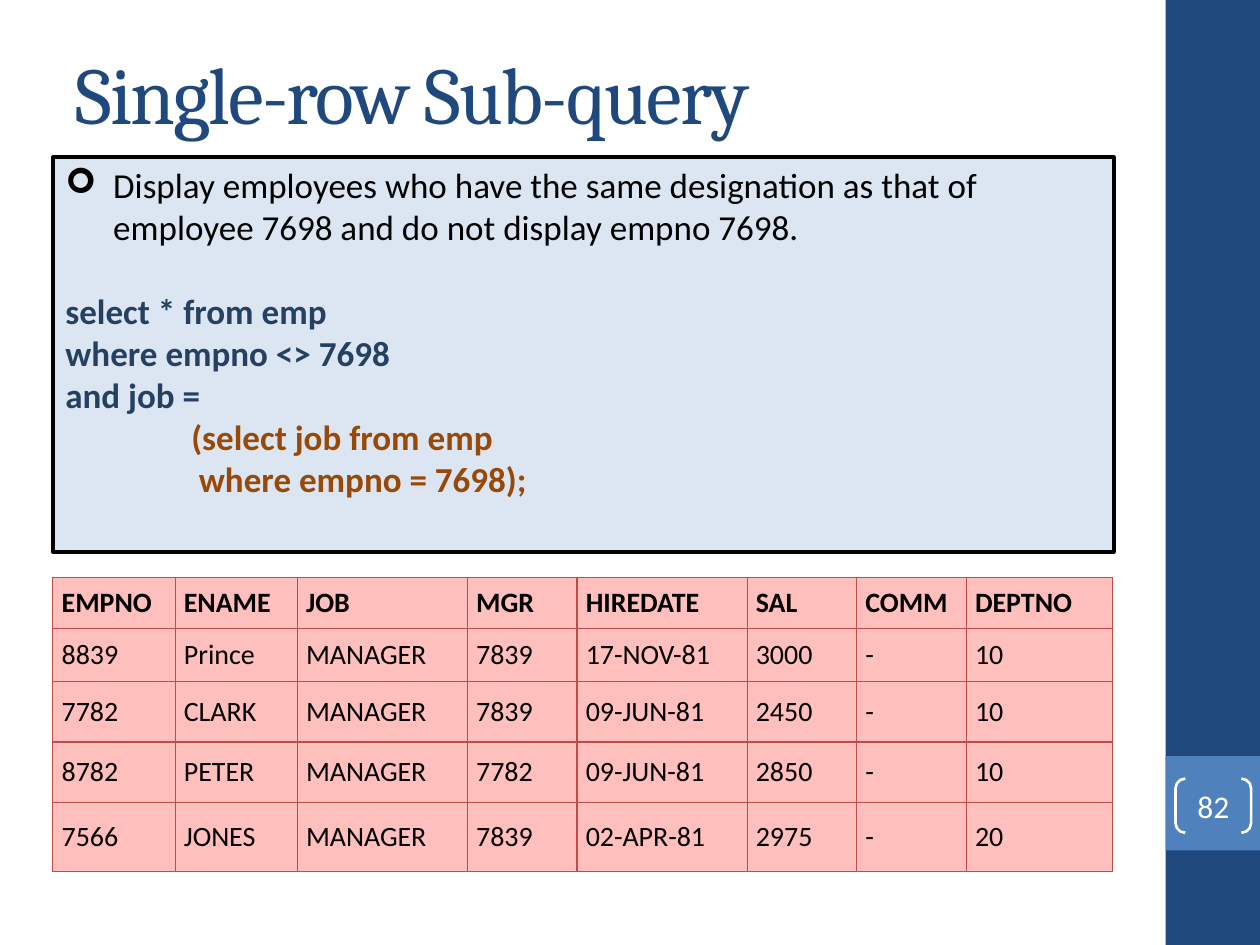
from lxml.etree import SubElement
from pptx import Presentation
from pptx.dml.color import RGBColor
from pptx.enum.shapes import MSO_SHAPE
from pptx.enum.text import MSO_ANCHOR, PP_ALIGN
from pptx.oxml.ns import qn
from pptx.util import Inches, Pt

INK = {
    "navy": "1F497D", "blue": "4F81BD", "white": "FFFFFF", "black": "000000",
    "pale": "DCE6F2", "query": "254061", "inner": "984807",
    "pink": "FFBFBD", "rule": "BF4C48",
}
TITLE = "Single-row Sub-query"
PAGE = "82"
TASK = ("Display employees who have the same designation as that of "
        "employee 7698 and do not display empno 7698.")
# text, colour, left indent, space before
CODE = [
    ("select * from emp", "query", 0, 24),
    ("where empno <> 7698", "query", 0, 0),
    ("and job =", "query", 0, 0),
    ("(select job from emp", "inner", 1, 0),
    ("where empno = 7698);", "inner", 1.06, 0),
]
ROWS = [
    ("EMPNO", "ENAME", "JOB", "MGR", "HIREDATE", "SAL", "COMM", "DEPTNO"),
    ("8839", "Prince", "MANAGER", "7839", "17-NOV-81", "3000", "-", "10"),
    ("7782", "CLARK", "MANAGER", "7839", "09-JUN-81", "2450", "-", "10"),
    ("8782", "PETER", "MANAGER", "7782", "09-JUN-81", "2850", "-", "10"),
    ("7566", "JONES", "MANAGER", "7839", "02-APR-81", "2975", "-", "20"),
]
WIDTHS = (0.97, 0.97, 1.35, 0.87, 1.35, 0.87, 0.87, 1.16)
HEIGHTS = (0.41, 0.42, 0.48, 0.48, 0.55)

WIDE, HIGH = 10, 7.5
BAR = 0.75
EDGE = WIDE - BAR
LEFT, SPAN = 0.42, 8.42


def color(name):
    return RGBColor.from_string(INK[name])


def write(para, text, size=20, font="Calibri", ink="black", bold=False,
          align=PP_ALIGN.LEFT, indent=0, before=0, track=0, bullet=None):
    """Put one formatted run in a paragraph; a bullet hangs in the indent."""
    para.alignment = align
    para.space_before = Pt(before)
    props = para._p.get_or_add_pPr()
    props.set("marL", str(Inches(indent)))
    props.set("indent", str(-Inches(indent) if bullet else 0))
    if bullet:
        SubElement(props, qn("a:buFont"), typeface="Wingdings")
        SubElement(props, qn("a:buChar"), char=bullet)
    run = para.add_run()
    run.text = text
    run.font.size = Pt(size)
    run.font.name = font
    run.font.bold = bold
    run.font.color.rgb = color(ink)
    if track:
        run._r.get_or_add_rPr().set("spc", str(track * 100))


def draw(slide, kind, spot, fill=None, line=None, weight=1):
    shape = slide.shapes.add_shape(kind, *map(Inches, spot))
    shape.shadow.inherit = False
    if fill:
        shape.fill.solid()
        shape.fill.fore_color.rgb = color(fill)
    else:
        shape.fill.background()
    if line:
        shape.line.color.rgb = color(line)
        shape.line.width = Pt(weight)
    else:
        shape.line.fill.background()
    return shape


def pad(frame, side, top):
    frame.margin_left = frame.margin_right = Inches(side)
    frame.margin_top = frame.margin_bottom = Inches(top)


def border(cell):
    props = cell._tc.get_or_add_tcPr()
    for side in ("lnL", "lnR", "lnT", "lnB"):
        line = SubElement(props, qn("a:" + side), w=str(Pt(0.75)))
        fill = SubElement(line, qn("a:solidFill"))
        SubElement(fill, qn("a:srgbClr"), val=INK["rule"])


def add_side(slide):
    draw(slide, MSO_SHAPE.RECTANGLE, (EDGE, 0, BAR, HIGH), "navy")
    draw(slide, MSO_SHAPE.RECTANGLE, (EDGE, 6, BAR, BAR), "blue")
    mark = draw(slide, MSO_SHAPE.DOUBLE_BRACKET, (9.33, 6.18, 0.6, 0.43),
                line="white", weight=1.5)
    mark.adjustments[0] = 0.18
    frame = mark.text_frame
    pad(frame, 0, 0)
    frame.vertical_anchor = MSO_ANCHOR.MIDDLE
    write(frame.paragraphs[0], PAGE, size=18, ink="white",
          align=PP_ALIGN.CENTER)


def add_title(slide):
    box = slide.shapes.add_textbox(*map(Inches, (0.5, 0.3, 8.33, 0.87)))
    frame = box.text_frame
    frame.word_wrap = True
    frame.vertical_anchor = MSO_ANCHOR.MIDDLE
    write(frame.paragraphs[0], TITLE, size=46, font="Cambria", ink="navy",
          track=-1)


def add_query(slide):
    box = draw(slide, MSO_SHAPE.RECTANGLE, (LEFT, 1.25, SPAN, 3.13),
               "pale", "black", 2.25)
    frame = box.text_frame
    frame.word_wrap = True
    frame.vertical_anchor = MSO_ANCHOR.TOP
    write(frame.paragraphs[0], TASK, indent=0.38, bullet="➢")
    for text, ink, indent, before in CODE:
        write(frame.add_paragraph(), text, ink=ink, bold=True,
              indent=indent, before=before)


def add_grid(slide):
    spot = (LEFT, 4.58, SPAN, sum(HEIGHTS))
    grid = slide.shapes.add_table(len(ROWS), len(WIDTHS),
                                  *map(Inches, spot)).table
    grid.first_row = grid.horz_banding = False
    for col, width in zip(grid.columns, WIDTHS):
        col.width = Inches(width)
    for r, (row, height) in enumerate(zip(ROWS, HEIGHTS)):
        grid.rows[r].height = Inches(height)
        head = r == 0
        for c, text in enumerate(row):
            cell = grid.cell(r, c)
            pad(cell, 0.07, 0.07 if head else 0.03)
            cell.vertical_anchor = (MSO_ANCHOR.BOTTOM if head
                                    else MSO_ANCHOR.MIDDLE)
            border(cell)
            cell.fill.solid()
            cell.fill.fore_color.rgb = color("pink")
            write(cell.text_frame.paragraphs[0], text, size=16, bold=head)


def main():
    deck = Presentation()
    deck.slide_width, deck.slide_height = Inches(WIDE), Inches(HIGH)
    slide = deck.slides.add_slide(deck.slide_layouts[6])
    for part in (add_side, add_title, add_query, add_grid):
        part(slide)
    deck.save("out.pptx")


if __name__ == "__main__":
    main()
